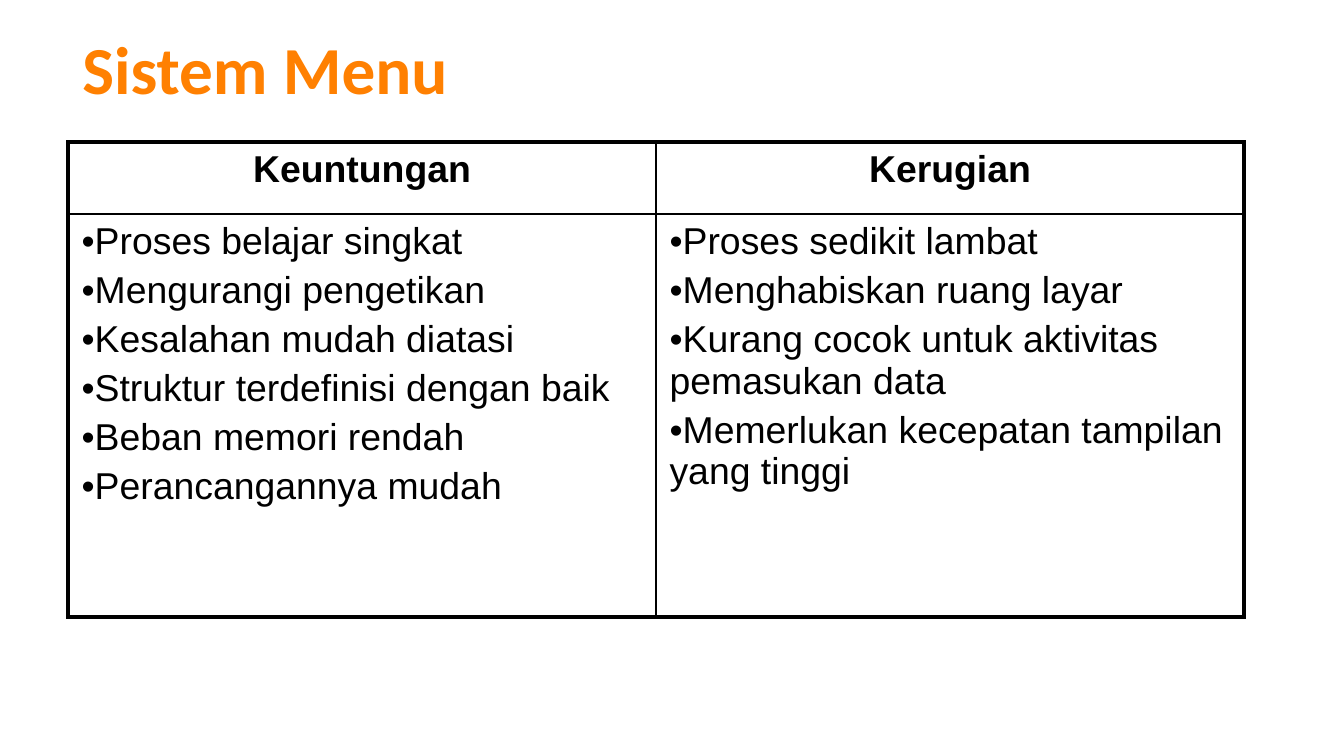
from pptx import Presentation
from pptx.dml.color import RGBColor
from pptx.enum.text import MSO_ANCHOR as Anchor, PP_ALIGN as Align
from pptx.oxml.ns import qn
from pptx.util import Pt
from lxml.etree import SubElement

COLORS = {"title": "FF8001", "text": "000000", "border": "000000"}
THICK, THIN = 2.25, 1

ADVANTAGES = [
    "Proses belajar singkat",
    "Mengurangi pengetikan",
    "Kesalahan mudah diatasi",
    "Struktur terdefinisi dengan baik",
    "Beban memori rendah",
    "Perancangannya mudah",
]
DRAWBACKS = [
    "Proses sedikit lambat",
    "Menghabiskan ruang layar",
    "Kurang cocok untuk aktivitas pemasukan data",
    "Memerlukan kecepatan tampilan yang tinggi",
]


class SlideBuilder:
    title_font, body_font = "Calibri", "Arial"
    title_size, body_size = 36, 20

    def __init__(self, slide):
        self.slide = slide

    def add_run(self, paragraph, text, font, size, color, bold=False):
        run = paragraph.add_run()
        run.text = text
        run.font.name = font
        run.font.size = Pt(size)
        run.font.bold = bold
        run.font.color.rgb = RGBColor.from_string(COLORS[color])

    def title(self, text, left, top, width, height):
        shape = self.slide.shapes.title
        shape.left, shape.top = Pt(left), Pt(top)
        shape.width, shape.height = Pt(width), Pt(height)
        frame = shape.text_frame
        frame.vertical_anchor = Anchor.MIDDLE
        paragraph = frame.paragraphs[0]
        paragraph.alignment = Align.LEFT
        self.add_run(paragraph, text, self.title_font, self.title_size, "title", True)

    def borders(self, cell, widths):
        properties = cell._tc.get_or_add_tcPr()
        for side, width in widths.items():
            line = SubElement(properties, qn(f"a:ln{side}"), w=str(Pt(width)))
            fill = SubElement(line, qn("a:solidFill"))
            SubElement(fill, qn("a:srgbClr"), val=COLORS["border"])

    def bullet(self, paragraph):
        properties = paragraph._p.get_or_add_pPr()
        properties.set("marL", "0")
        properties.set("indent", "0")
        SubElement(properties, qn("a:buFont"), typeface=self.body_font)
        SubElement(properties, qn("a:buChar"), char="•")

    def cell_text(self, cell, lines, header):
        frame = cell.text_frame
        for index, text in enumerate(lines):
            paragraph = frame.add_paragraph() if index else frame.paragraphs[0]
            if not header:
                self.bullet(paragraph)
            paragraph.alignment = Align.CENTER if header else Align.LEFT
            if index:
                paragraph.space_before = Pt(self.body_size * 0.2)
            self.add_run(paragraph, text, self.body_font, self.body_size, "text", header)

    def table(self, rows, left, top, width, heights):
        row_count, column_count = len(rows), len(rows[0])
        table = self.slide.shapes.add_table(
            row_count, column_count, Pt(left), Pt(top), Pt(width), Pt(sum(heights))
        ).table
        table.first_row = table.horz_banding = False
        for row, height in zip(table.rows, heights):
            row.height = Pt(height)
        for r, row in enumerate(rows):
            for c, lines in enumerate(row):
                cell = table.cell(r, c)
                # Thick outer frame, thin inner lines
                edges = {"L": c == 0, "R": c == column_count - 1,
                         "T": r == 0, "B": r == row_count - 1}
                self.borders(cell, {side: THICK if outer else THIN
                                    for side, outer in edges.items()})
                cell.fill.background()
                self.cell_text(cell, lines, header=r == 0)


def main():
    presentation = Presentation()
    presentation.slide_width, presentation.slide_height = Pt(720), Pt(405)
    layout = presentation.slide_layouts.get_by_name("Title Only")
    builder = SlideBuilder(presentation.slides.add_slide(layout))

    # Title
    builder.title("Sistem Menu", 37, 8, 556.5, 57)

    # Comparison table
    builder.table([[["Keuntungan"], ["Kerugian"]], [ADVANTAGES, DRAWBACKS]],
                  left=36.5, top=76, width=630, heights=[38.5, 216])

    presentation.save("out.pptx")


if __name__ == "__main__":
    main()
